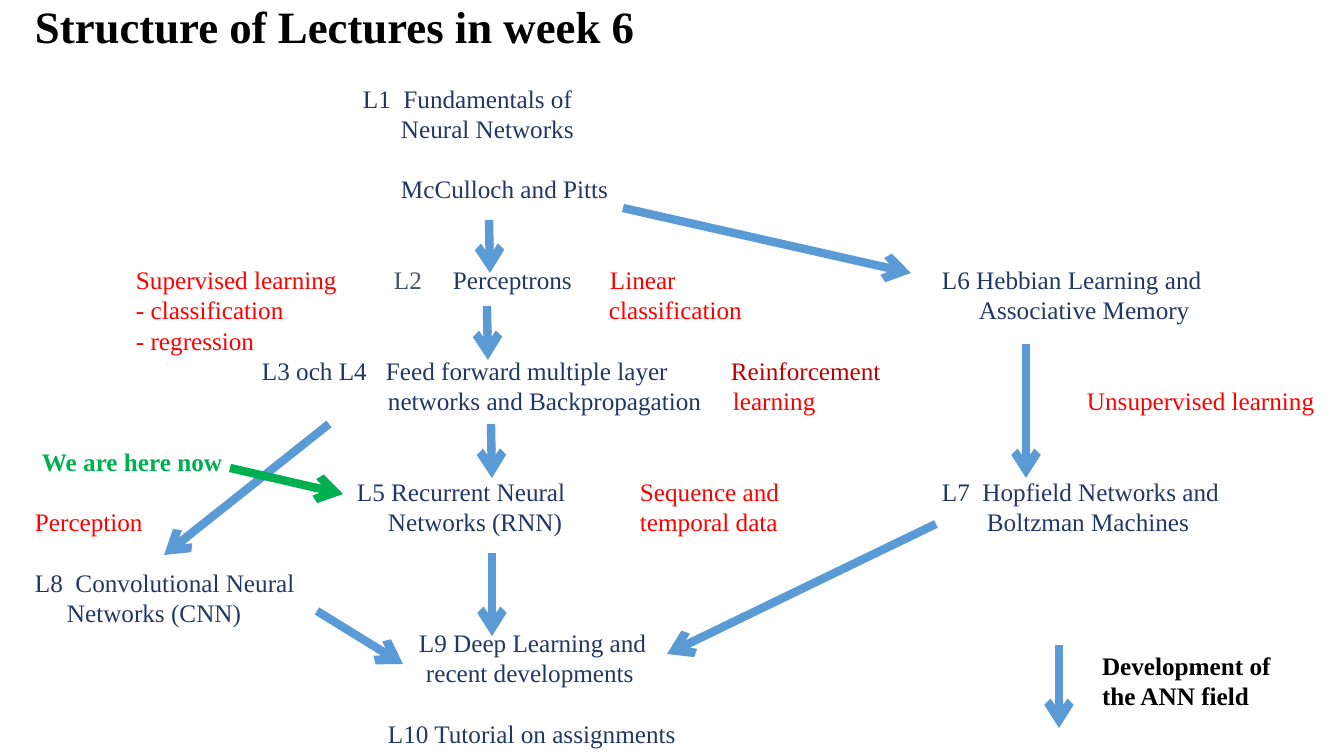
from dataclasses import dataclass

from lxml import etree
from pptx import Presentation
from pptx.dml.color import RGBColor
from pptx.enum.shapes import MSO_CONNECTOR
from pptx.enum.text import MSO_ANCHOR, MSO_AUTO_SIZE
from pptx.oxml.ns import qn
from pptx.util import Emu, Pt

STRAIGHT = MSO_CONNECTOR.STRAIGHT
TOP = MSO_ANCHOR.TOP
NO_AUTOFIT = MSO_AUTO_SIZE.NONE

EMU_PER_PIXEL = 914400 / 100.8
FONT = "Times New Roman"
LINE_SPACING = 1.2
BODY_SIZE = 18
INSET_X = 10
INSET_Y = 5

NAVY = "203864"
SLATE = "44546A"
RED = "FF0000"
DARK_RED = "C00000"
GREEN = "00B050"
BLUE = "5B9BD5"
BLACK = "000000"


@dataclass(frozen=True)
class Phrase:
    left: int
    text: str
    color: str = NAVY
    bold: bool = False


@dataclass(frozen=True)
class Row:
    phrases: tuple[Phrase, ...]
    rows_skipped: int = 0
    size: int = BODY_SIZE


@dataclass(frozen=True)
class Block:
    left: int
    top: int
    width: int
    height: int
    rows: tuple[Row, ...]


@dataclass(frozen=True)
class Arrow:
    start: tuple[int, int]
    end: tuple[int, int]
    color: str = BLUE


def pixels(value: float) -> Emu:
    return Emu(round(value * EMU_PER_PIXEL))


def rgb(color: str) -> RGBColor:
    return RGBColor.from_string(color)


def fill_row(paragraph, row: Row, text_left: int) -> None:
    paragraph.line_spacing = Pt(row.size * LINE_SPACING)
    paragraph.space_before = Pt(row.rows_skipped * BODY_SIZE * LINE_SPACING)
    tab_list = etree.SubElement(paragraph._p.get_or_add_pPr(), qn("a:tabLst"))
    for phrase in row.phrases:
        offset = phrase.left - text_left
        if offset:
            etree.SubElement(tab_list, qn("a:tab"), pos=str(pixels(offset)), algn="l")
        run = paragraph.add_run()
        run.text = "\t" + phrase.text if offset else phrase.text
        run.font.name = FONT
        run.font.size = Pt(row.size)
        run.font.bold = phrase.bold
        run.font.color.rgb = rgb(phrase.color)


def draw_block(slide, block: Block) -> None:
    box = slide.shapes.add_textbox(
        pixels(block.left), pixels(block.top), pixels(block.width), pixels(block.height)
    )
    frame = box.text_frame
    frame.word_wrap = True
    frame.auto_size = NO_AUTOFIT
    frame.vertical_anchor = TOP
    frame.margin_left = frame.margin_right = pixels(INSET_X)
    frame.margin_top = frame.margin_bottom = pixels(INSET_Y)
    for number, row in enumerate(block.rows):
        paragraph = frame.add_paragraph() if number else frame.paragraphs[0]
        fill_row(paragraph, row, block.left + INSET_X)


def draw_arrow(slide, arrow: Arrow) -> None:
    ends = [pixels(value) for value in (*arrow.start, *arrow.end)]
    connector = slide.shapes.add_connector(STRAIGHT, *ends)
    connector.line.width = Pt(6)
    connector.line.color.rgb = rgb(arrow.color)
    etree.SubElement(connector.line._get_or_add_ln(), qn("a:tailEnd"), type="arrow")
    etree.SubElement(connector._element.spPr, qn("a:effectLst"))


LECTURES = Block(25, -6, 1303, 767, (
    Row((Phrase(35, "Structure of Lectures in week 6", BLACK, True),), size=32),
    Row((Phrase(363, "L1  Fundamentals of"),), 1),
    Row((Phrase(401, "Neural Networks"),)),
    Row((Phrase(401, "McCulloch and Pitts"),), 1),
    Row((
        Phrase(136, "Supervised learning", RED),
        Phrase(394, "L2", SLATE),
        Phrase(453, "Perceptrons"),
        Phrase(610, "Linear", RED),
        Phrase(942, "L6 Hebbian Learning and"),
    ), 2),
    Row((
        Phrase(136, "- classification", RED),
        Phrase(609, "classification", RED),
        Phrase(979, "Associative Memory"),
    )),
    Row((Phrase(136, "- regression", RED),)),
    Row((
        Phrase(262, "L3 och L4"),
        Phrase(386, "Feed forward multiple layer"),
        Phrase(731, "Reinforcement", DARK_RED),
    )),
    Row((
        Phrase(388, "networks and Backpropagation"),
        Phrase(733, "learning", RED),
        Phrase(1087, "Unsupervised learning", RED),
    )),
    Row((Phrase(42, "We are here now", GREEN, True),), 1),
    Row((
        Phrase(357, "L5 Recurrent Neural"),
        Phrase(640, "Sequence and", RED),
        Phrase(942, "L7  Hopfield Networks and"),
    )),
    Row((
        Phrase(35, "Perception", RED),
        Phrase(388, "Networks (RNN)"),
        Phrase(640, "temporal data", RED),
        Phrase(987, "Boltzman Machines"),
    )),
    Row((Phrase(35, "L8  Convolutional Neural"),), 1),
    Row((Phrase(67, "Networks (CNN)"),)),
    Row((Phrase(419, "L9 Deep Learning and"),)),
    Row((Phrase(426, "recent developments"),)),
    Row((Phrase(388, "L10 Tutorial on assignments"),), 1),
))

LEGEND = Block(1092, 645, 191, 72, (
    Row((Phrase(1102, "Development of", BLACK, True),)),
    Row((Phrase(1102, "the ANN field", BLACK, True),)),
))

ARROWS = (
    Arrow((489, 220), (490, 273)),
    Arrow((329, 424), (164, 555)),
    Arrow((491, 424), (492, 478)),
    Arrow((623, 208), (911, 273)),
    Arrow((487, 306), (488, 360)),
    Arrow((317, 611), (403, 664)),
    Arrow((936, 524), (667, 654)),
    Arrow((492, 553), (492, 636)),
    Arrow((1026, 344), (1026, 478)),
    Arrow((230, 468), (343, 494), GREEN),
    Arrow((1059, 645), (1059, 728)),
)


def main() -> None:
    presentation = Presentation()
    presentation.slide_width = pixels(1344)
    presentation.slide_height = pixels(756)
    slide = presentation.slides.add_slide(presentation.slide_layouts[6])
    draw_block(slide, LECTURES)
    for arrow in ARROWS:
        draw_arrow(slide, arrow)
    draw_block(slide, LEGEND)
    presentation.save("out.pptx")


main()
